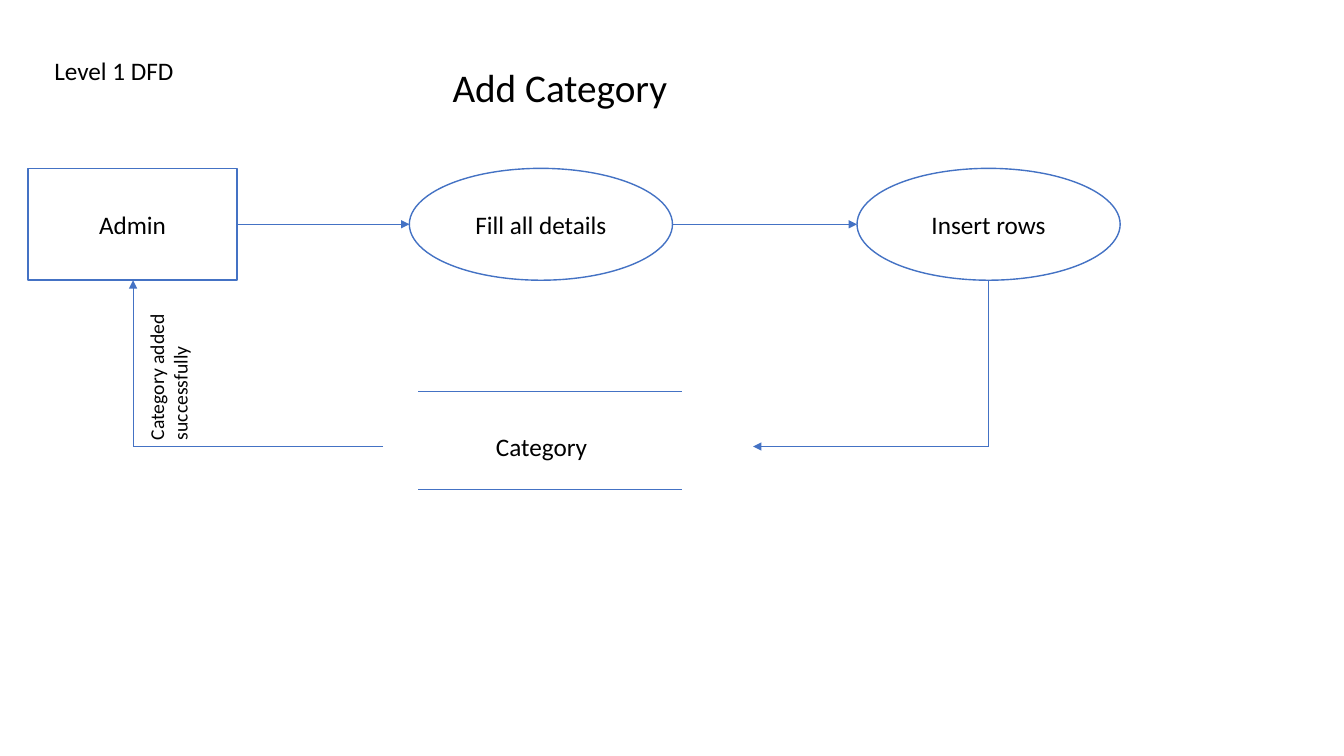
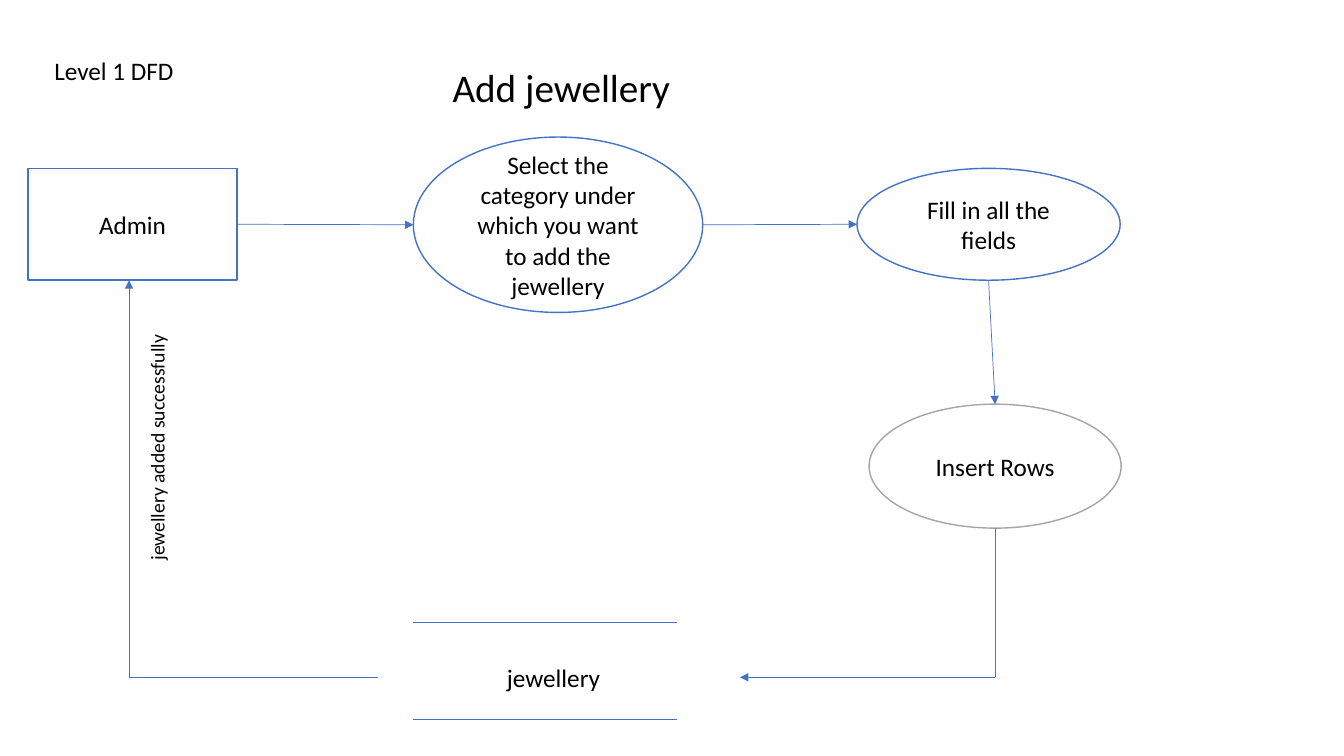
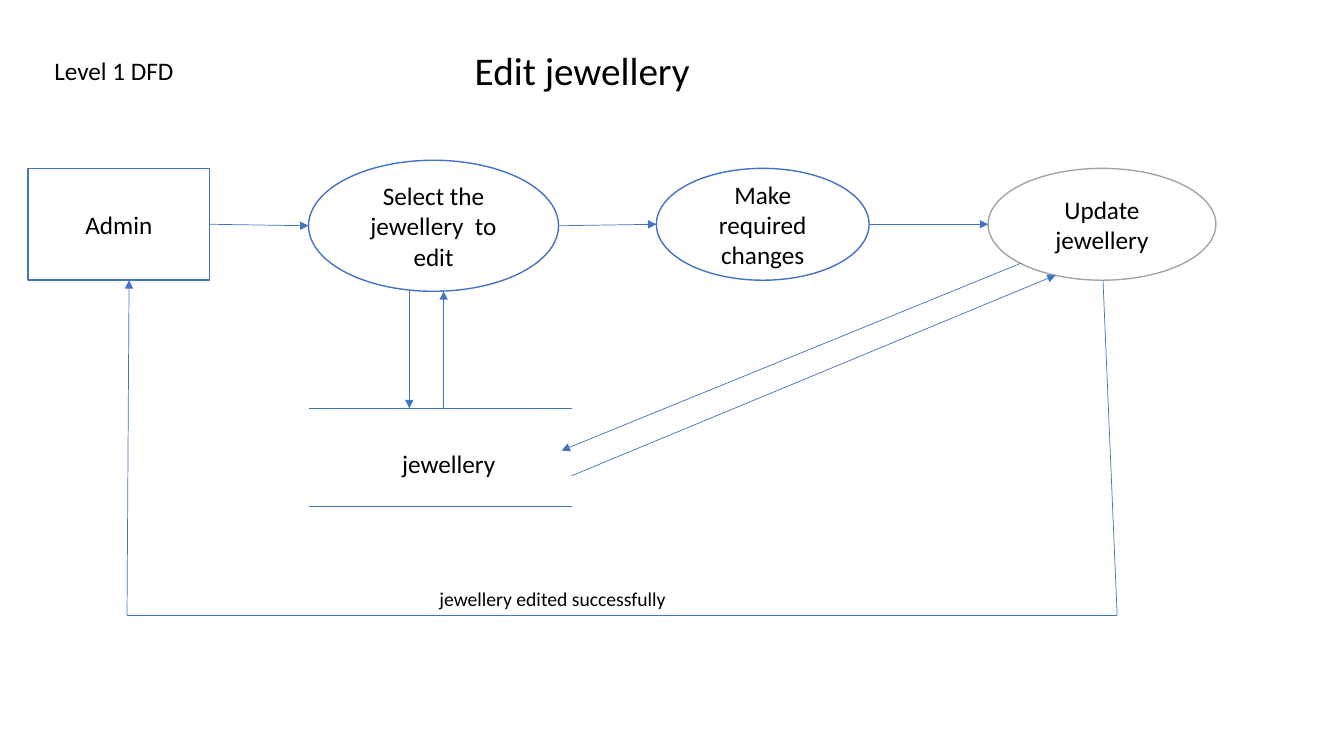
from itertools import pairwise

from lxml.etree import SubElement
from pptx import Presentation
from pptx.dml.color import RGBColor
from pptx.enum.shapes import MSO_CONNECTOR, MSO_SHAPE
from pptx.enum.text import MSO_ANCHOR, PP_ALIGN
from pptx.oxml.ns import qn
from pptx.util import Inches, Pt

BLACK = RGBColor(0x00, 0x00, 0x00)
WHITE = RGBColor(0xFF, 0xFF, 0xFF)
BLUE = RGBColor(0x44, 0x72, 0xC4)
GRAY = RGBColor(0xA5, 0xA5, 0xA5)
FONT = "Calibri"
TITLE_SIZE, BODY_SIZE, NOTE_SIZE = 28, 18, 14

# Shared row of nodes and size of a data store
ROW_TOP, ROW_HEIGHT = 1.67, 1.11
ROW_BOTTOM = ROW_TOP + ROW_HEIGHT
STORE_WIDTH, STORE_HEIGHT = 2.61, 0.97

# Sides of a node, as fractions of its width and height
TOP, LEFT, BOTTOM, RIGHT = (0.5, 0), (0, 0.5), (0.5, 1), (1, 0.5)


def write(tf, text, size, align=PP_ALIGN.LEFT):
    tf.word_wrap = True
    tf.text = text
    p = tf.paragraphs[0]
    p.alignment = align
    font = p.runs[0].font
    font.name, font.size, font.color.rgb = FONT, Pt(size), BLACK


def add_label(s, text, left, top, width, height, size=BODY_SIZE, rotation=0):
    sp = s.shapes.add_textbox(Inches(left), Inches(top), Inches(width), Inches(height))
    sp.rotation = rotation
    write(sp.text_frame, text, size)


def add_node(s, text, left, width, top=ROW_TOP, height=ROW_HEIGHT,
             shape=MSO_SHAPE.OVAL, color=BLUE):
    sp = s.shapes.add_shape(shape, Inches(left), Inches(top), Inches(width), Inches(height))
    sp.shadow.inherit = False
    sp.fill.solid()
    sp.fill.fore_color.rgb = WHITE
    sp.line.color.rgb = color
    sp.line.width = Pt(1)
    sp.text_frame.vertical_anchor = MSO_ANCHOR.MIDDLE
    write(sp.text_frame, text, BODY_SIZE, PP_ALIGN.CENTER)
    return sp


def add_line(s, start, end, arrow=False):
    line = s.shapes.add_connector(MSO_CONNECTOR.STRAIGHT, *map(Inches, start + end))
    line.line.color.rgb = BLUE
    line.line.width = Pt(0.5)
    properties = line._element.spPr
    if arrow:
        SubElement(properties.find(qn("a:ln")), qn("a:tailEnd"), type="triangle")
    SubElement(properties, qn("a:effectLst"))


def add_flow(s, *points):
    """Line through the points, with an arrowhead at the last one."""
    for start, end in pairwise(points):
        add_line(s, start, end, arrow=end == points[-1])


def side_point(node, side):
    """Middle of one side of a node, in inches."""
    x, y = side
    return (node.left.inches + x * node.width.inches,
            node.top.inches + y * node.height.inches)


def link(s, source, target, source_side=RIGHT, target_side=LEFT):
    """Arrow from one node to the next."""
    add_flow(s, side_point(source, source_side), side_point(target, target_side))


def add_store(s, text, left, top, text_left, text_width):
    """Data store: a name between two horizontal lines."""
    for y in (top, top + STORE_HEIGHT):
        add_line(s, (left, y), (left + STORE_WIDTH, y))
    add_label(s, text, text_left, top + 0.35, text_width, 0.4)


def start_slide(prs, title, left=4.39, top=0.58, admin_width=2.07):
    """Slide with the level, the title and the Admin box."""
    s = prs.slides.add_slide(prs.slide_layouts[6])
    add_label(s, "Level 1 DFD", 0.44, 0.5, 1.5, 0.4)
    add_label(s, title, left, top, 2.48, 0.57, TITLE_SIZE)
    admin = add_node(s, "Admin", 0.28, admin_width, shape=MSO_SHAPE.RECTANGLE)
    return s, admin


def add_category_slide(prs):
    s, admin = start_slide(prs, "Add Category")
    details = add_node(s, "Fill all details", 4.06, 2.61)
    insert = add_node(s, "Insert rows", 8.5, 2.61)
    link(s, admin, details)
    link(s, details, insert)

    # Way back through the store
    add_store(s, "Category", 4.15, 3.88, 4.82, 1.41)
    add_flow(s, (9.8, ROW_BOTTOM), (9.8, 4.43), (7.47, 4.43))
    add_flow(s, (3.8, 4.43), (1.32, 4.43), (1.32, ROW_BOTTOM))
    add_label(s, "Category added successfully", 0.7, 3.21, 1.94, 0.57, NOTE_SIZE, 270)


def add_jewellery_slide(prs):
    s, admin = start_slide(prs, "Add jewellery")
    select = add_node(s, "Select the category under which you want to add the jewellery",
                      4.1, 2.87, 1.36, 1.74)
    fields = add_node(s, "Fill in all the fields", 8.5, 2.61)
    insert = add_node(s, "Insert Rows", 8.62, 2.5, 4.01, 1.23, color=GRAY)
    link(s, admin, select)
    link(s, select, fields)
    link(s, fields, insert, BOTTOM, TOP)

    # Way back through the store
    add_store(s, "jewellery", 4.1, 6.17, 4.93, 1.16)
    add_flow(s, (9.87, 5.24), (9.87, 6.72), (7.34, 6.72))
    add_flow(s, (3.75, 6.72), (1.28, 6.72), (1.28, ROW_BOTTOM))
    add_label(s, "jewellery added successfully", 0.23, 4.16, 2.66, 0.34, NOTE_SIZE, 270)


def edit_jewellery_slide(prs):
    s, admin = start_slide(prs, "Edit jewellery", 4.61, 0.41, admin_width=1.8)
    select = add_node(s, "Select the jewellery  to edit", 3.06, 2.48, 1.59, 1.3)
    change = add_node(s, "Make required changes", 6.51, 2.11)
    update = add_node(s, "Update jewellery", 9.8, 2.26, color=GRAY)
    link(s, admin, select)
    link(s, select, change)
    link(s, change, update)

    # Store, read and written by two nodes
    add_store(s, "jewellery", 3.06, 4.05, 3.89, 1.19)
    add_flow(s, (4.06, 2.89), (4.06, 4.05))
    add_flow(s, (4.4, 4.05), (4.4, 2.89))
    add_flow(s, (10.13, 2.61), (5.57, 4.47))
    add_flow(s, (5.67, 4.72), (10.47, 2.73))

    # Way back to Admin
    add_flow(s, (10.94, ROW_BOTTOM), (11.08, 6.1), (1.26, 6.1), (1.28, ROW_BOTTOM))
    add_label(s, "jewellery edited successfully", 4.26, 5.77, 2.63, 0.34, NOTE_SIZE)


def main():
    prs = Presentation()
    prs.slide_width, prs.slide_height = Inches(13.33), Inches(7.5)
    add_category_slide(prs)
    add_jewellery_slide(prs)
    edit_jewellery_slide(prs)
    prs.save("out.pptx")


if __name__ == "__main__":
    main()
